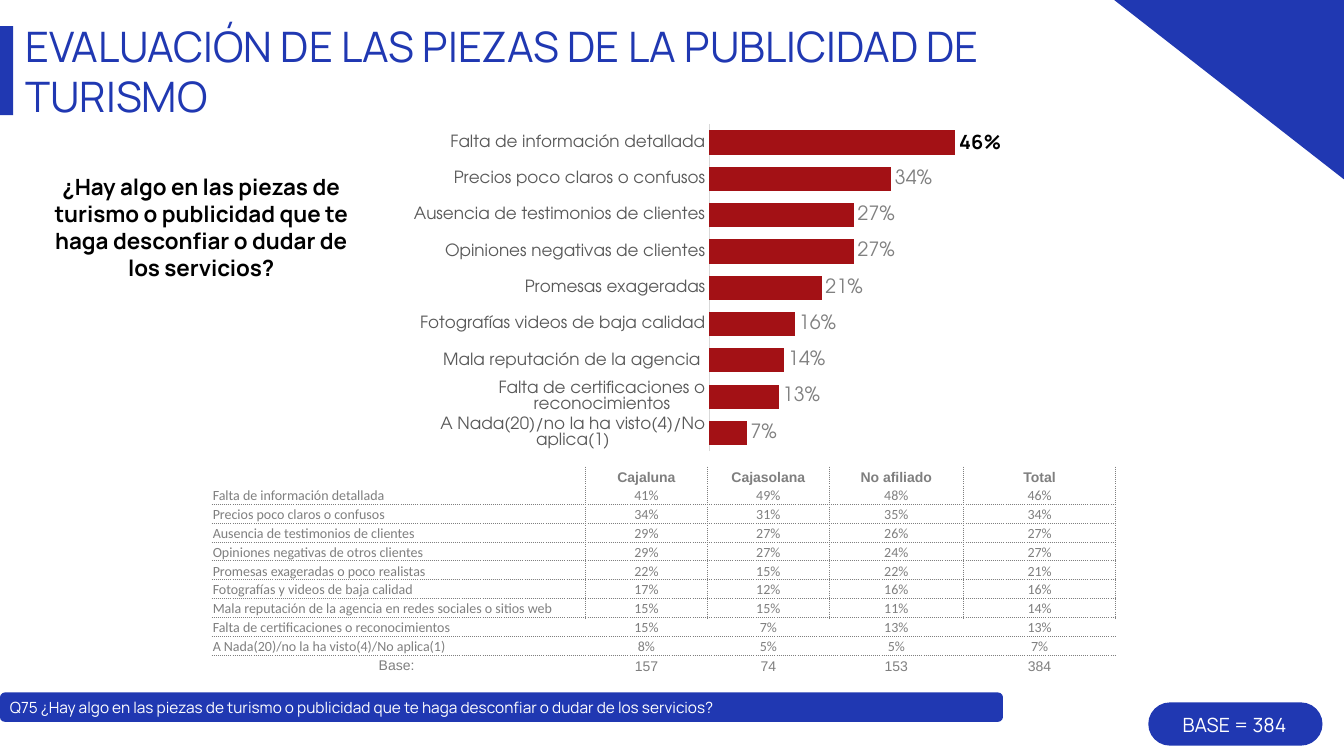
from lxml import etree
from pptx import Presentation
from pptx import util as u
from pptx.chart import data as chart_data
from pptx.dml.color import RGBColor
from pptx.enum import chart as charts, shapes, text
from pptx.oxml import ns, parse_xml

COLORS = {
    "blue": "2038B2", "red": "A31115", "white": "FFFFFF", "black": "000000",
    "table": "7F7F7F", "value": "808080", "category": "595959", "axis": "D9D9D9",
}
BRAND, CHART, TABLE, HEAD = "Manrope", "TeX Gyre Adventor", "Calibri", "Arial"
LEFT, CENTER = text.PP_ALIGN.LEFT, text.PP_ALIGN.CENTER

REASONS = [
    ("Falta de información detallada", 0.46),
    ("Precios poco claros o confusos", 0.34),
    ("Ausencia de testimonios de clientes", 0.27),
    ("Opiniones negativas de clientes", 0.27),
    ("Promesas exageradas", 0.21),
    ("Fotografías videos de baja calidad", 0.16),
    ("Mala reputación de la agencia ", 0.14),
    ("Falta de certificaciones o reconocimientos", 0.13),
    ("A Nada(20)/no la ha visto(4)/No aplica(1)", 0.07),
]
BREAKDOWN = [
    ("", "Cajaluna", "Cajasolana", "No afiliado", "Total"),
    ("Falta de información detallada", "41%", "49%", "48%", "46%"),
    ("Precios poco claros o confusos", "34%", "31%", "35%", "34%"),
    ("Ausencia de testimonios de clientes", "29%", "27%", "26%", "27%"),
    ("Opiniones negativas de otros clientes", "29%", "27%", "24%", "27%"),
    ("Promesas exageradas o poco realistas", "22%", "15%", "22%", "21%"),
    ("Fotografías y videos de baja calidad", "17%", "12%", "16%", "16%"),
    ("Mala reputación de la agencia en redes sociales o sitios web",
     "15%", "15%", "11%", "14%"),
    ("Falta de certificaciones o reconocimientos", "15%", "7%", "13%", "13%"),
    ("A Nada(20)/no la ha visto(4)/No aplica(1)", "8%", "5%", "5%", "7%"),
    ("Base: ", "157", "74", "153", "384"),
]
COLUMN_WIDTHS = (9.42, 3.07, 3.07, 3.38, 3.84)
ROW_HEIGHT = 0.475
LAST_RULED_ROW = 7  # vertical rules stop here


def rgb(color):
    return RGBColor.from_string(COLORS[color])


class SlideBuilder:
    def __init__(self, slide):
        self.slide = slide

    def style(self, font, family, size, color, bold=False):
        font.name, font.size, font.bold = family, u.Pt(size), bold
        font.color.rgb = rgb(color)

    def paint(self, shape, color):
        shape.shadow.inherit = False
        shape.fill.solid()
        shape.fill.fore_color.rgb = rgb(color)
        shape.line.fill.background()

    def block(self, kind, box, radius=None):
        block = self.slide.shapes.add_shape(kind, *map(u.Cm, box))
        self.paint(block, "blue")
        if radius is not None:
            block.adjustments[0] = radius

    def outline(self, points):
        points = [(u.Cm(x), u.Cm(y)) for x, y in points]
        pen = self.slide.shapes.build_freeform(*points[0])
        pen.add_line_segments(points[1:], close=True)
        self.paint(pen.convert_to_shape(), "blue")

    def label(self, words, box, size, color, align=LEFT, bold=False,
              margins=(0.25, 0.13, 0.25, 0.13)):
        frame = self.slide.shapes.add_textbox(*map(u.Cm, box)).text_frame
        frame.word_wrap = True
        (frame.margin_left, frame.margin_top,
         frame.margin_right, frame.margin_bottom) = map(u.Cm, margins)
        frame.text = words
        frame.paragraphs[0].alignment = align
        self.style(frame.paragraphs[0].runs[0].font, BRAND, size, color, bold)

    def bars(self, reasons, box):
        data = chart_data.CategoryChartData(number_format="0%")
        data.categories = [reason for reason, _ in reversed(reasons)]
        data.add_series("Series 1", [share for _, share in reversed(reasons)])
        chart = self.slide.shapes.add_chart(
            charts.XL_CHART_TYPE.BAR_CLUSTERED, *map(u.Cm, box), data).chart
        chart.has_legend = chart.has_title = False
        self.style(chart.font, HEAD, 10, "black")

        # Axes
        reason_axis, share_axis = chart.category_axis, chart.value_axis
        for axis in (reason_axis, share_axis):
            axis.major_tick_mark = axis.minor_tick_mark = charts.XL_TICK_MARK.NONE
            axis.has_major_gridlines = False
        self.style(reason_axis.tick_labels.font, CHART, 12, "category")
        reason_axis.format.line.color.rgb = rgb("axis")
        reason_axis.format.line.width = u.Pt(0.75)
        share_axis.minimum_scale, share_axis.maximum_scale = 0, 0.5
        share_axis.tick_label_position = charts.XL_TICK_LABEL_POSITION.NONE
        share_axis.format.line.fill.background()

        # Bars and their values
        plot = chart.plots[0]
        plot.gap_width, plot.vary_by_categories = 50, False
        shares = plot.series[0]
        shares.format.fill.solid()
        shares.format.fill.fore_color.rgb = rgb("red")
        values = shares.data_labels
        values.show_value = True
        values.number_format, values.number_format_is_linked = "0%", False
        values.position = charts.XL_LABEL_POSITION.OUTSIDE_END
        self.style(values.font, CHART, 14, "value")
        top_value = shares.points[len(reasons) - 1].data_label
        self.style(top_value.font, BRAND, 14, "black", True)
        top_value.position = charts.XL_LABEL_POSITION.OUTSIDE_END

        # Fixed plot area
        area = chart.element.find(".//" + ns.qn("c:plotArea"))
        for layout in area.findall(ns.qn("c:layout")):
            area.remove(layout)
        places = "".join(f'<c:{name} val="{value}"/>' for name, value in (
            ("layoutTarget", "inner"), ("xMode", "edge"), ("yMode", "edge"),
            ("x", 0.505), ("y", 0.044), ("w", 0.435), ("h", 0.913)))
        area.insert(0, parse_xml(
            f'<c:layout {ns.nsdecls("c")}><c:manualLayout>{places}'
            "</c:manualLayout></c:layout>"))

    def rule(self, cell, side, shown):
        fill = (f'<a:solidFill><a:srgbClr val="{COLORS["table"]}"/></a:solidFill>'
                '<a:prstDash val="sysDot"/>' if shown else "<a:noFill/>")
        cell._tc.get_or_add_tcPr().append(parse_xml(
            f'<a:ln{side} {ns.nsdecls("a")} w="9525">{fill}</a:ln{side}>'))

    def table(self, rows, left, top):
        table = self.slide.shapes.add_table(
            len(rows), len(COLUMN_WIDTHS), u.Cm(left), u.Cm(top),
            u.Cm(sum(COLUMN_WIDTHS)), u.Cm(ROW_HEIGHT * len(rows))).table
        table.first_row = table.horz_banding = False
        for column, width in zip(table.columns, COLUMN_WIDTHS):
            column.width = u.Cm(width)
        base = len(rows) - 1
        for r, row in enumerate(rows):
            table.rows[r].height = u.Cm(ROW_HEIGHT)
            for c, words in enumerate(row):
                cell = table.cell(r, c)
                ruled = r <= LAST_RULED_ROW
                for side, shown in (("L", ruled and c > 0), ("R", ruled),
                                    ("T", r > 1), ("B", 0 < r < base)):
                    self.rule(cell, side, shown)
                cell.fill.background()
                cell.margin_left = cell.margin_top = cell.margin_right = u.Cm(0.03)
                cell.margin_bottom = 0
                cell.vertical_anchor = (text.MSO_ANCHOR.MIDDLE if r == base and c == 0
                                        else text.MSO_ANCHOR.BOTTOM)
                cell.text_frame.text = words
                line = cell.text_frame.paragraphs[0]
                line.alignment = CENTER if c or r == base else LEFT
                family = HEAD if r in (0, base) else TABLE
                for run in line.runs:
                    self.style(run.font, family, 10, "table", r == 0)
                if not words:
                    etree.SubElement(line._p, ns.qn("a:endParaRPr"), sz="1000")


def main():
    deck = Presentation()
    deck.slide_width, deck.slide_height = u.Cm(33.86), u.Cm(19.05)
    page = SlideBuilder(deck.slides.add_slide(deck.slide_layouts[6]))
    rounded = shapes.MSO_SHAPE.ROUNDED_RECTANGLE

    # Results
    page.bars(REASONS, (10.06, 2.74, 15.47, 9.02))
    page.table(BREAKDOWN, 5.33, 11.76)
    page.label("¿Hay algo en las piezas de turismo o publicidad que te haga "
               "desconfiar o dudar de los servicios?",
               (0.84, 4.24, 8.46, 3), 16, "black", CENTER, True)

    # Sample size
    page.block(rounded, (28.93, 17.7, 4.39, 1.09), 0.5)
    page.label("BASE = 384", (29.24, 17.83, 3.73, 0.86), 14, "white", CENTER)

    # Decoration and title
    page.block(rounded, (0, 17.45, 25.27, 0.74), 0.167)
    page.outline([(33.86, 0), (28.07, 0), (33.86, 4.52)])
    page.block(shapes.MSO_SHAPE.RECTANGLE, (0, 0.66, 0.33, 2.24))
    page.label("EVALUACIÓN DE LAS PIEZAS DE LA PUBLICIDAD DE TURISMO",
               (0.64, 0.48, 27.03, 2.59), 30, "blue", margins=(0, 0.03, 0, 0))

    # Question footer
    page.label("Q75 ¿Hay algo en las piezas de turismo o publicidad que te haga "
               "desconfiar o dudar de los servicios?",
               (0, 17.45, 29.36, 0.74), 11, "white")
    deck.save("out.pptx")


if __name__ == "__main__":
    main()
